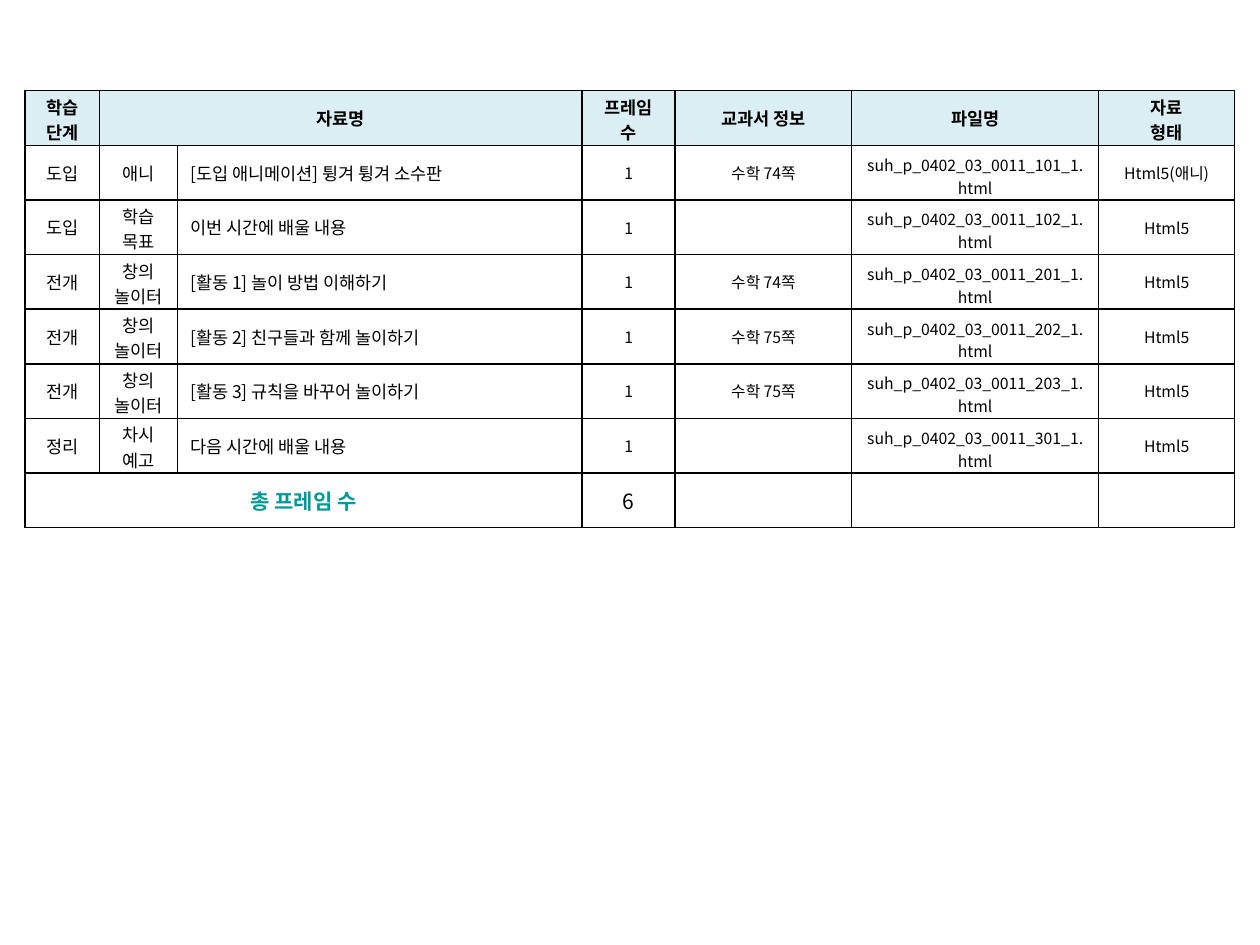
from dataclasses import dataclass
from typing import Any

from lxml.etree import SubElement
from pptx import Presentation
from pptx.dml.color import RGBColor
from pptx.enum.text import MSO_ANCHOR as Anchor, PP_ALIGN as Align
from pptx.oxml.ns import qn
from pptx.util import Inches, Pt

BLACK = RGBColor(0x00, 0x00, 0x00)
TEAL = RGBColor(0x00, 0x99, 0x99)
HEADER_BLUE = RGBColor(0xDB, 0xEE, 0xF4)

COLUMN_WIDTHS = [0.59, 0.62, 3.21, 0.74, 1.4, 1.96, 1.08]
COLUMN_SIZES = [10, 10, 10, 9, 9, 9, 9]
NAME_COLUMN, FILE_COLUMN = 2, 5
HEADER = ["학습 단계", "자료명", "", "프레임 수", "교과서 정보", "파일명", "자료\n형태"]
TWO_LINE_LABELS = {"학습 단계", "프레임 수", "자료\n형태", "학습 목표", "창의\n놀이터", "차시 예고"}

# stage, category, material name, textbook page, file number, format
MATERIALS = [
    ("도입", "애니", "[도입 애니메이션] 튕겨 튕겨 소수판", "수학 74쪽", 101, "Html5(애니)"),
    ("도입", "학습 목표", "이번 시간에 배울 내용", "", 102, "Html5"),
    ("전개", "창의\n놀이터", "[활동 1] 놀이 방법 이해하기", "수학 74쪽", 201, "Html5"),
    ("전개", "창의\n놀이터", "[활동 2] 친구들과 함께 놀이하기", "수학 75쪽", 202, "Html5"),
    ("전개", "창의\n놀이터", "[활동 3] 규칙을 바꾸어 놀이하기", "수학 75쪽", 203, "Html5"),
    ("정리", "차시 예고", "다음 시간에 배울 내용", "", 301, "Html5"),
]
TOTAL = ["총 프레임 수", "", "", str(len(MATERIALS)), "", "", ""]


@dataclass
class SlideBuilder:
    page: Any
    font_name: str = "Noto Sans CJK KR"
    border_width: int = Pt(1)

    def table(self, left, top, width, height, row_count, column_widths):
        frame = self.page.shapes.add_table(
            row_count, len(column_widths),
            Inches(left), Inches(top), Inches(width), Inches(height))
        table = frame.table
        table.first_row = table.horz_banding = False
        for column, column_width in zip(table.columns, column_widths):
            column.width = Inches(column_width)
        return table

    def borders(self, cell):
        properties = cell._tc.get_or_add_tcPr()
        for side in ("a:lnL", "a:lnR", "a:lnT", "a:lnB"):
            line = SubElement(properties, qn(side), w=str(self.border_width))
            fill = SubElement(line, qn("a:solidFill"))
            SubElement(fill, qn("a:srgbClr"), val=str(BLACK))

    def cell(self, cell, text, size, color=BLACK, bold=False,
             align=Align.CENTER, fill=None, margins=(0.05, 0.05)):
        self.borders(cell)
        if fill is None:
            cell.fill.background()
        else:
            cell.fill.solid()
            cell.fill.fore_color.rgb = fill
        cell.vertical_anchor = Anchor.MIDDLE
        cell.margin_left = cell.margin_right = Inches(0.1)
        cell.margin_top, cell.margin_bottom = map(Inches, margins)
        for index, line in enumerate(text.split("\n")):
            frame = cell.text_frame
            para = frame.add_paragraph() if index else frame.paragraphs[0]
            para.alignment = align
            if line:
                self.span(para, line, size, color, bold)
            else:
                SubElement(para._p, qn("a:endParaRPr"), sz=str(size * 100))

    def span(self, para, text, size, color, bold):
        span = para.add_run()
        span.text = text
        span.font.size = Pt(size)
        span.font.bold = bold
        span.font.color.rgb = color
        span.font.name = self.font_name
        SubElement(span._r.get_or_add_rPr(), qn("a:ea"), typeface=self.font_name)


def cell_margins(text, column):
    """Top and bottom margins that let two lines fit the fixed row height."""
    if text in TWO_LINE_LABELS:
        return 0.02, 0
    if column == FILE_COLUMN and text.endswith(".html"):
        return 0.05, 0
    return 0.05, 0.05


def main():
    deck = Presentation()
    deck.slide_width, deck.slide_height = Inches(10), Inches(7.5)
    builder = SlideBuilder(deck.slides.add_slide(deck.slide_layouts[6]))

    rows = [HEADER]
    for stage, category, name, textbook, number, file_format in MATERIALS:
        file_name = f"suh_p_0402_03_0011_{number}_1.html"
        rows.append([stage, category, name, "1", textbook, file_name, file_format])
    rows.append(TOTAL)

    table = builder.table(0.2, 0.72, 9.6, 3.47, len(rows), COLUMN_WIDTHS)
    for row, texts in enumerate(rows):
        for column, (text, size) in enumerate(zip(texts, COLUMN_SIZES)):
            style = {"margins": cell_margins(text, column)}
            if texts is HEADER:
                size = 10
                style.update(bold=True, fill=HEADER_BLUE)
            elif texts is TOTAL:
                size = 12
                if column == 0:
                    style.update(bold=True, color=TEAL)
            elif column == NAME_COLUMN:
                style.update(align=Align.LEFT)
            builder.cell(table.cell(row, column), text, size, **style)

    last_row = len(rows) - 1
    table.cell(0, 1).merge(table.cell(0, NAME_COLUMN))
    table.cell(last_row, 0).merge(table.cell(last_row, NAME_COLUMN))
    deck.save("out.pptx")


if __name__ == "__main__":
    main()
